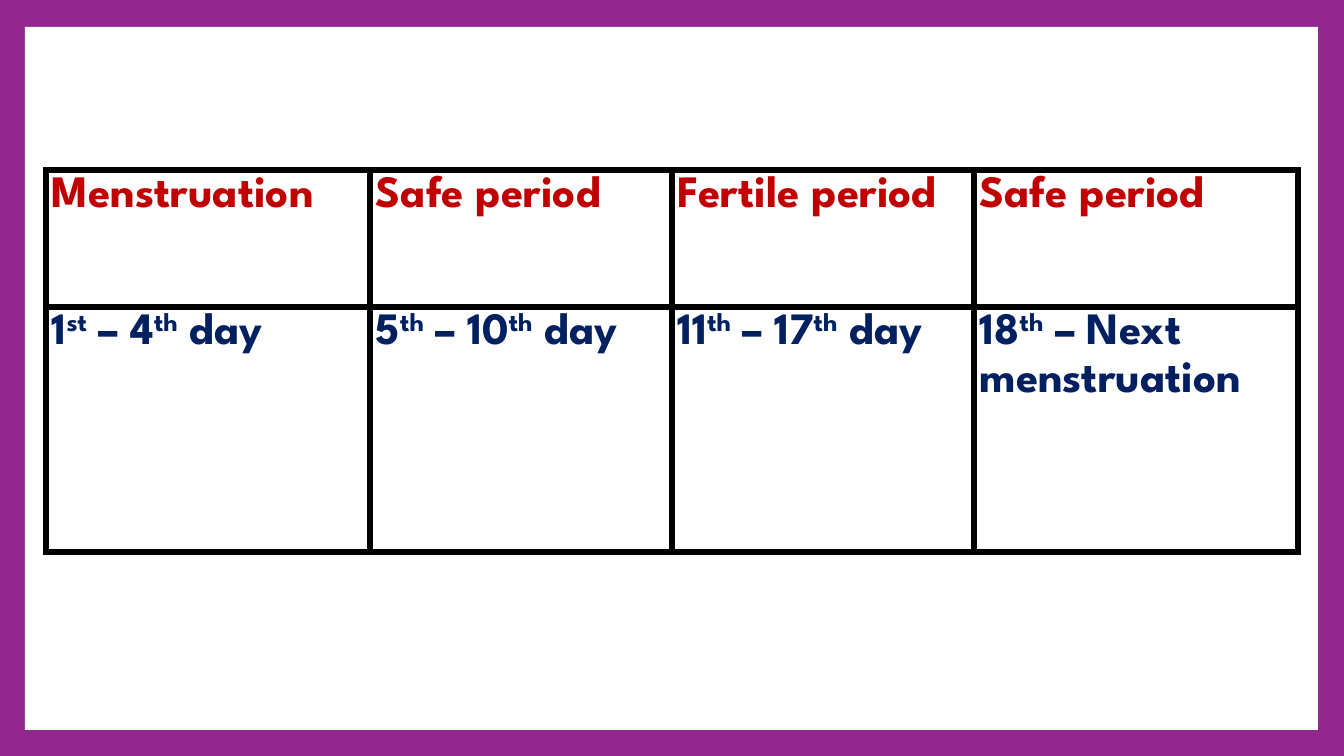
from lxml import etree
from pptx import Presentation
from pptx.dml.color import RGBColor
from pptx.enum.shapes import MSO_SHAPE
from pptx.oxml.ns import qn
from pptx.util import Emu, Pt

RECTANGLE = MSO_SHAPE.RECTANGLE
EMU_PER_PX = 914400 / 100.8
FONT = "League Spartan"
PURPLE, WHITE, BLACK, RED, NAVY = "92278F", "FFFFFF", "000000", "C00000", "002060"

COLUMN_WIDTHS = [324, 302, 302, 324]
ROW_HEIGHTS = [137, 245]
ROW_COLOURS = [RED, NAVY]
# Text between carets is superscript.
CYCLE_ROWS = [
    ["Menstruation", "Safe period", "Fertile period", "Safe period"],
    ["1^st^ – 4^th^ day", "5^th^ – 10^th^ day", "11^th^ – 17^th^ day",
     "18^th^ – Next menstruation"],
]


def px(length):
    return Emu(round(length * EMU_PER_PX))


def colour(hex_string):
    return RGBColor.from_string(hex_string)


def add_panel(page, left, top, width, height):
    panel = page.shapes.add_shape(RECTANGLE, px(left), px(top), px(width), px(height))
    panel.shadow.inherit = False
    panel.fill.solid()
    panel.fill.fore_color.rgb = colour(WHITE)
    panel.line.fill.background()


def add_borders(cell, hex_string, points):
    properties = cell._tc.get_or_add_tcPr()
    for side in ("a:lnL", "a:lnR", "a:lnT", "a:lnB"):
        line = etree.SubElement(properties, qn(side), w=str(Pt(points)))
        fill = etree.SubElement(line, qn("a:solidFill"))
        etree.SubElement(fill, qn("a:srgbClr"), val=hex_string)


def write_cell(cell, text, hex_string):
    add_borders(cell, BLACK, 4.5)
    cell.fill.background()
    cell.margin_left = cell.margin_right = px(6)
    cell.margin_top = cell.margin_bottom = 0
    para = cell.text_frame.paragraphs[0]
    para.line_spacing = 1.15
    para.space_after = Pt(3)
    for index, piece in enumerate(text.split("^")):
        span = para.add_run()
        span.text = piece
        span.font.name = FONT
        span.font.size = Pt(32)
        span.font.bold = True
        span.font.color.rgb = colour(hex_string)
        if index % 2:
            span._r.get_or_add_rPr().set("baseline", "30000")


def add_cycle_table(page, left, top):
    frame = page.shapes.add_table(
        len(ROW_HEIGHTS), len(COLUMN_WIDTHS), px(left), px(top),
        px(sum(COLUMN_WIDTHS)), px(sum(ROW_HEIGHTS)))
    table = frame.table
    table.first_row = table.horz_banding = False
    for column, width in zip(table.columns, COLUMN_WIDTHS):
        column.width = px(width)
    for row, height, texts, hex_string in zip(
            table.rows, ROW_HEIGHTS, CYCLE_ROWS, ROW_COLOURS):
        row.height = px(height)
        for cell, text in zip(row.cells, texts):
            write_cell(cell, text, hex_string)


def main():
    deck = Presentation()
    deck.slide_width, deck.slide_height = px(1344), px(756)
    page = deck.slides.add_slide(deck.slide_layouts[6])
    page.background.fill.solid()
    page.background.fill.fore_color.rgb = colour(PURPLE)
    add_panel(page, 25, 27, 1293, 703)
    add_cycle_table(page, 46, 170)
    deck.save("out.pptx")


if __name__ == "__main__":
    main()
